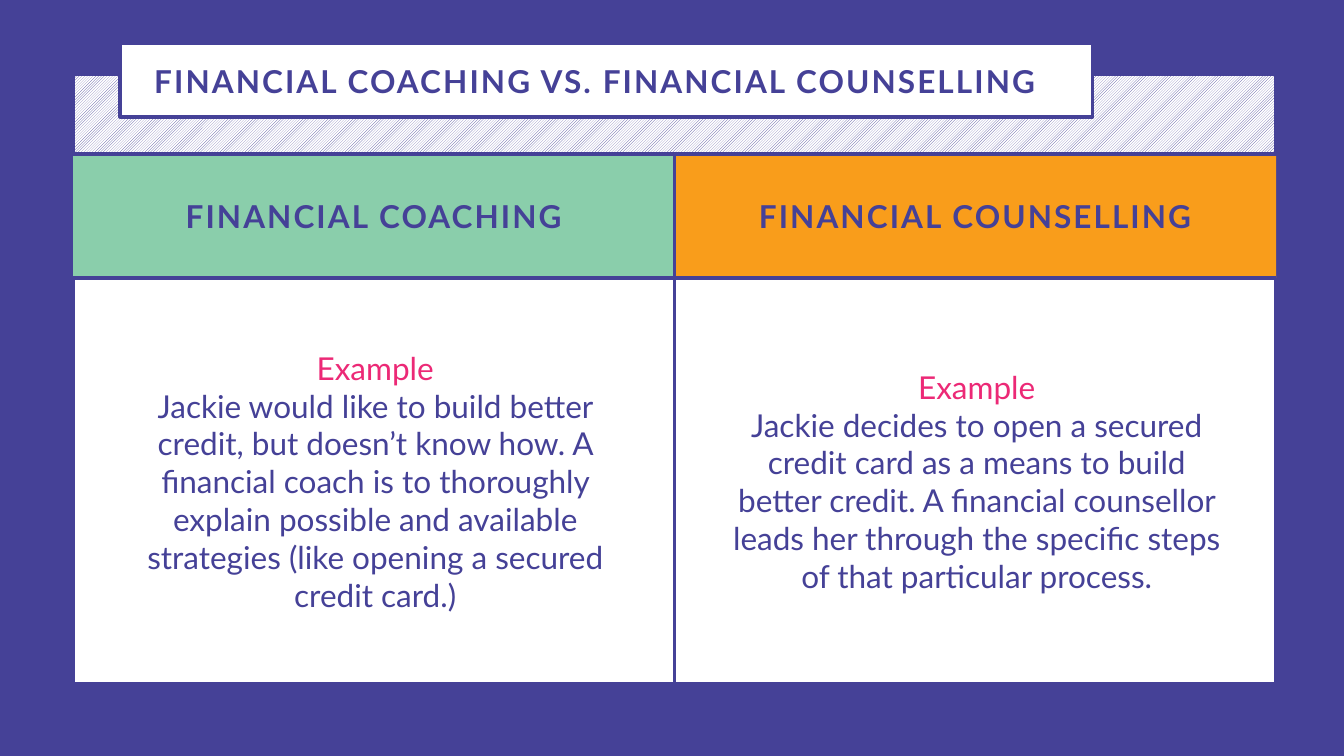
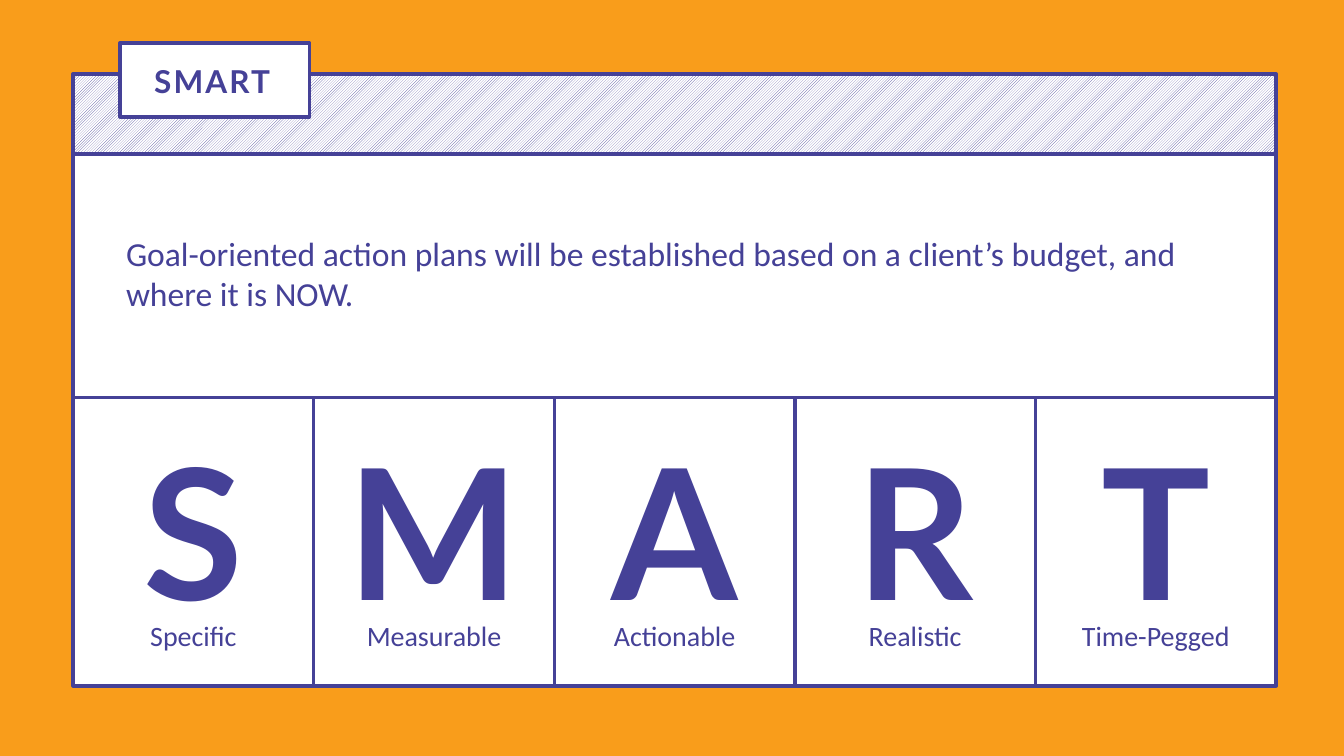
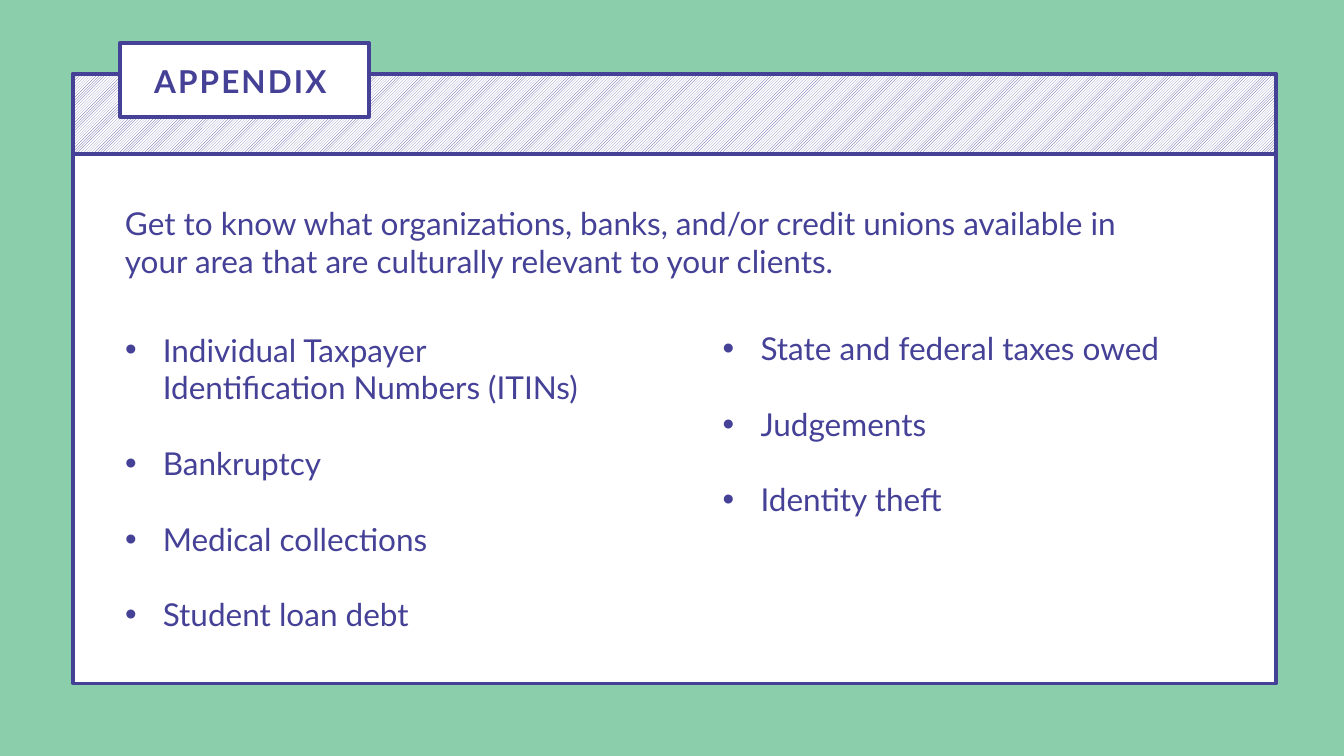
from dataclasses import dataclass
from typing import NamedTuple

from lxml import etree
from pptx import Presentation
from pptx import util as u
from pptx.dml.color import RGBColor
from pptx.enum import dml, shapes, text
from pptx.oxml import ns

COLORS = {
    "indigo": "454197",
    "orange": "F99D1B",
    "green": "8ACEAB",
    "pink": "EC2976",
    "white": "FFFFFF",
}
LEFT, WIDTH = 104.4, 1718.6
RIGHT = LEFT + WIDTH
BAND_TOP, BAND_HEIGHT = 105.8, 114.5
BODY_TOP = BAND_TOP + BAND_HEIGHT
LINE_WIDTH = 5
TITLE_AND_CONTENT, TWO_CONTENT = 1, 3
CENTER, START = text.PP_ALIGN.CENTER, text.PP_ALIGN.LEFT
MIDDLE, TOP = text.MSO_ANCHOR.MIDDLE, text.MSO_ANCHOR.TOP


class Box(NamedTuple):
    x: float
    y: float
    w: float
    h: float

    def lengths(self) -> list:
        return [u.Pt(v) for v in self]


@dataclass(frozen=True)
class Style:
    """Text format; lead colours the first paragraph, gap follows each one."""
    size: float = 45
    font: str = "Lato"
    bold: bool = False
    tracking: float = 0
    align: int = START
    anchor: int = MIDDLE
    leading: float = 1.0
    gap: float = 0
    bullet: bool = False
    lead: str = "indigo"


HEADING = Style(bold=True, tracking=3, leading=0.9)
COLUMN_HEADING = Style(bold=True, tracking=3, leading=0.9, align=CENTER)
EXAMPLE = Style(align=CENTER, lead="pink")
STATEMENT = Style(size=48, font="Calibri")
LETTER = Style(size=260, bold=True, tracking=6, leading=0.9, align=CENTER)
LABEL = Style(size=40, font="Calibri", align=CENTER)
INTRO = Style(anchor=TOP)
BULLETS = Style(anchor=TOP, gap=54, bullet=True)


def rgb(name: str) -> RGBColor:
    return RGBColor.from_string(COLORS[name])


def set_all(obj, values: dict) -> None:
    for name, value in values.items():
        setattr(obj, name, value)


def set_bullet(sp, shown: bool) -> None:
    for pPr in sp.element.iter(ns.qn("a:pPr")):
        indent = u.Pt(54) if shown else 0
        pPr.set("marL", str(indent))
        pPr.set("indent", str(-indent))
        if shown:
            etree.SubElement(pPr, ns.qn("a:buSzPct"), val="105000")
            etree.SubElement(pPr, ns.qn("a:buFont"), typeface="Arial")
            etree.SubElement(pPr, ns.qn("a:buChar"), char="•")
        else:
            etree.SubElement(pPr, ns.qn("a:buNone"))


def write(sp, style: Style, *paragraphs: str) -> None:
    tf = sp.text_frame
    tf.text = "\n".join(paragraphs)
    set_all(tf, {"word_wrap": True, "auto_size": text.MSO_AUTO_SIZE.NONE,
                 "vertical_anchor": style.anchor})
    for i, p in enumerate(tf.paragraphs):
        set_all(p, {"alignment": style.align, "line_spacing": style.leading,
                    "space_before": u.Pt(0), "space_after": u.Pt(style.gap)})
        for r in p.runs:
            set_all(r.font, {"name": style.font, "size": u.Pt(style.size),
                             "bold": style.bold})
            r.font.color.rgb = rgb(style.lead if i == 0 else "indigo")
    for rPr in sp.element.iter(ns.qn("a:rPr")):
        rPr.set("spc", str(int(style.tracking * 100)))
    set_bullet(sp, style.bullet)


def add_text(s, box: Box, style: Style, *paragraphs: str) -> None:
    write(s.shapes.add_textbox(*box.lengths()), style, *paragraphs)


def fill_placeholder(s, idx: int, box: Box, style: Style, *paragraphs: str) -> None:
    """Format a placeholder and bring it in front of the shapes drawn so far."""
    sp = s.placeholders[idx]
    set_all(sp, dict(zip(("left", "top", "width", "height"), box.lengths())))
    write(sp, style, *paragraphs)
    sp.element.getparent().append(sp.element)


def add_rect(s, box: Box, fill: str = "white", outlined: bool = True):
    sp = s.shapes.add_shape(shapes.MSO_SHAPE.RECTANGLE, *box.lengths())
    sp.shadow.inherit = False
    sp.fill.solid()
    sp.fill.fore_color.rgb = rgb(fill)
    if outlined:
        sp.line.color.rgb = rgb("indigo")
        sp.line.width = u.Pt(LINE_WIDTH)
    else:
        sp.line.fill.background()
    return sp


def add_line(s, x1: float, y1: float, x2: float, y2: float):
    cx = s.shapes.add_connector(shapes.MSO_CONNECTOR.STRAIGHT,
                                *(u.Pt(v) for v in (x1, y1, x2, y2)))
    cx.line.color.rgb = rgb("indigo")
    cx.line.width = u.Pt(LINE_WIDTH)
    etree.SubElement(cx.element.find(ns.qn("p:spPr")), ns.qn("a:effectLst"))
    return cx


def add_heading(s, title: str, card_width: float, title_width: float) -> None:
    """Hatched band with the title card on top of it."""
    band = add_rect(s, Box(LEFT, BAND_TOP, WIDTH, BAND_HEIGHT))
    band.fill.patterned()
    band.fill.pattern = dml.MSO_PATTERN.WIDE_UPWARD_DIAGONAL
    band.fill.fore_color.rgb = rgb("indigo")
    band.fill.back_color.rgb = rgb("white")
    add_rect(s, Box(171.4, 61.2, card_width, 105.8))
    fill_placeholder(s, 0, Box(213.1, 85.7, title_width, 67), HEADING, title)


def add_slide(prs, layout: int, background: str):
    s = prs.slides.add_slide(prs.slide_layouts[layout])
    s.background.fill.solid()
    s.background.fill.fore_color.rgb = rgb(background)
    return s


class Column(NamedTuple):
    heading: str
    color: str
    example: str


def build_comparison(prs) -> None:
    columns = [
        Column("FINANCIAL COACHING", "green",
               "Jackie would like to build better credit, but doesn’t know how. "
               "A financial coach is to thoroughly explain possible and available "
               "strategies (like opening a secured credit card.)"),
        Column("FINANCIAL COUNSELLING", "orange",
               "Jackie decides to open a secured credit card as a means to build "
               "better credit. A financial counsellor leads her through the "
               "specific steps of that particular process."),
    ]
    row, bottom = 397.4, 977.5
    col_width, inset = WIDTH / 2, 68
    s = add_slide(prs, TWO_CONTENT, "indigo")
    panel = add_rect(s, Box(LEFT, BODY_TOP, WIDTH, bottom - BODY_TOP))
    for i, col in enumerate(columns):
        x = LEFT + i * col_width
        add_rect(s, Box(x, BODY_TOP, col_width, row - BODY_TOP), col.color, False)
        add_text(s, Box(x, 278.6, col_width, 67), COLUMN_HEADING, col.heading)
        fill_placeholder(s, i + 1, Box(x + inset, row, 727.2, bottom - row),
                         EXAMPLE, "Example", col.example)
    add_heading(s, "FINANCIAL COACHING VS. FINANCIAL COUNSELLING", 1389.6, 1417)
    add_line(s, LEFT, row, RIGHT, row)
    middle = LEFT + col_width
    divider = add_line(s, middle, BODY_TOP, middle, bottom)
    divider.begin_connect(panel, 0)
    divider.end_connect(panel, 2)


def build_smart(prs) -> None:
    goals = ["Specific", "Measurable", "Actionable", "Realistic", "Time-Pegged"]
    top, row, bottom = 109.4, 568.1, 979.9
    cell = WIDTH / len(goals)
    s = add_slide(prs, TITLE_AND_CONTENT, "orange")
    add_rect(s, Box(LEFT, top, WIDTH, bottom - top))
    add_heading(s, "SMART", 270.7, 211)
    fill_placeholder(s, 1, Box(172.8, 211.7, 1527.8, 356.4), STATEMENT,
                     "Goal-oriented action plans will be established based on a "
                     "client’s budget, and where it is NOW.")
    for i in range(len(goals) + 1):
        add_line(s, LEFT + i * cell, row, LEFT + i * cell, bottom)
    add_line(s, LEFT, row, RIGHT, row)
    for i, goal in enumerate(goals):
        x = LEFT + i * cell
        add_text(s, Box(x, 692.6, cell, 163.4), LETTER, goal[0])
        add_text(s, Box(x, 833, cell, 150.5), LABEL, goal)


def build_appendix(prs) -> None:
    s = add_slide(prs, TWO_CONTENT, "green")
    add_rect(s, Box(LEFT, BAND_TOP, WIDTH, 870.5))
    add_heading(s, "APPENDIX", 355.7, 288)
    for x in (LEFT, RIGHT):
        add_line(s, x, BODY_TOP, x, 632.2)
    add_text(s, Box(171.4, 288, 1489.7, 691.9), INTRO,
             "Get to know what organizations, banks, and/or credit unions "
             "available in your area that are culturally relevant to your clients.")
    fill_placeholder(s, 1, Box(171.4, 468.7, 788.4, 443.5), BULLETS,
                     "Individual Taxpayer\vIdentification Numbers (ITINs)",
                     "Bankruptcy", "Medical collections", "Student loan debt")
    fill_placeholder(s, 2, Box(1025.3, 466.6, 788.4, 280.1), BULLETS,
                     "State and federal taxes owed", "Judgements", "Identity theft")


def main() -> None:
    prs = Presentation()
    prs.slide_width, prs.slide_height = u.Pt(1920), u.Pt(1080)
    build_comparison(prs)
    build_smart(prs)
    build_appendix(prs)
    prs.save("out.pptx")


if __name__ == "__main__":
    main()
